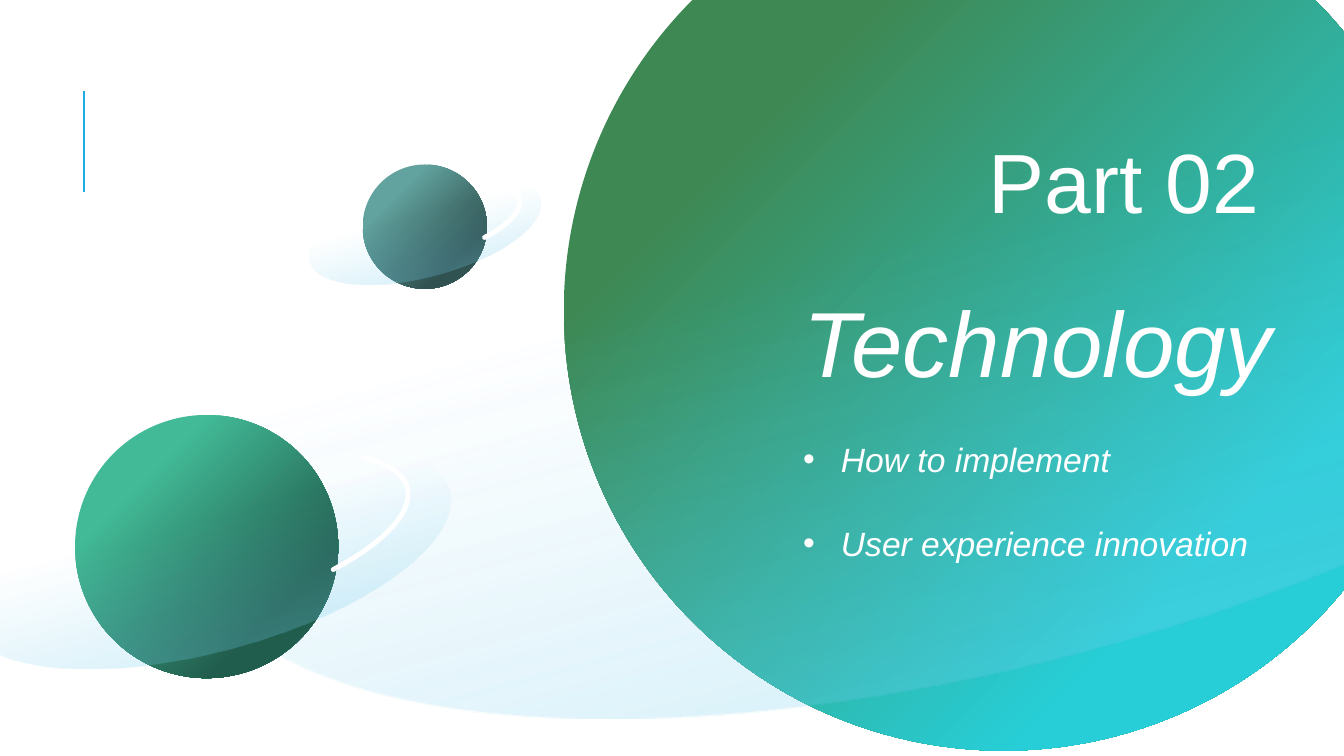
from dataclasses import dataclass

from lxml.etree import SubElement
from pptx import Presentation
from pptx.dml.color import RGBColor
from pptx.enum.shapes import MSO_CONNECTOR, MSO_SHAPE
from pptx.enum.text import MSO_ANCHOR, PP_ALIGN
from pptx.oxml.ns import qn
from pptx.util import Pt

COLORS = {
    "white": "FFFFFF",
    "accent": "1CADE4",
    "ring": "77CEEF",
    "leaf": "3E8853",
    "aqua": "27CED7",
    "mist": "62A39F",
    "slate": "305250",
    "mint": "42BA97",
    "pine": "215D4C",
    "blue": "2683C6",
    "navy": "134163",
}
RING_TILT = 345.1
ARC_ANGLES = (208.17, 16.55)


@dataclass(frozen=True)
class Sphere:
    center_x: float
    center_y: float
    diameter: float
    light: str
    dark: str


@dataclass(frozen=True)
class Planet(Sphere):
    has_highlight: bool = True


@dataclass(frozen=True)
class Stop:
    color: str
    position: float
    alpha: int = 100


HOME_PLANET = Planet(716.9, 222, 628.4, "leaf", "aqua", has_highlight=False)
SMALL_PLANETS = (
    Planet(303.4, 161.9, 88.8, "mist", "slate"),
    Planet(147.6, 390.4, 188, "mint", "pine"),
)
STARS = (
    Sphere(103, 89, 69.1, "blue", "navy"),
    Sphere(145, 235.2, 58.3, "mint", "navy"),
)


def rgb(name: str) -> RGBColor:
    return RGBColor.from_string(COLORS[name])


def add_centered(slide, preset, center_x: float, center_y: float,
                 width: float, height: float):
    shape = slide.shapes.add_shape(
        preset, Pt(center_x - width / 2), Pt(center_y - height / 2),
        Pt(width), Pt(height))
    shape.shadow.inherit = False
    return shape


def fill_gradient(shape, stops: tuple[Stop, Stop], clockwise: int) -> None:
    shape.fill.gradient()
    shape.fill.gradient_angle = 360 - clockwise
    for target, stop in zip(shape.fill.gradient_stops, stops):
        target.color.rgb = rgb(stop.color)
        target.position = stop.position
    for color, stop in zip(shape._element.spPr.iter(qn("a:srgbClr")), stops):
        if stop.alpha < 100:
            SubElement(color, qn("a:alpha"), val=str(stop.alpha * 1000))
    shape.line.fill.background()


def add_sphere(slide, sphere: Sphere):
    globe = add_centered(slide, MSO_SHAPE.OVAL, sphere.center_x, sphere.center_y,
                         sphere.diameter, sphere.diameter)
    fill_gradient(globe, (Stop(sphere.light, 0.25), Stop(sphere.dark, 0.76)), 45)
    return globe


def add_star(slide, star: Sphere) -> None:
    """Draw a sphere blurred by a soft edge."""
    effects = add_sphere(slide, star)._element.spPr.find(qn("a:effectLst"))
    SubElement(effects, qn("a:softEdge"), rad=str(Pt(25)))


def add_planet(slide, planet: Planet) -> None:
    """Draw a sphere with its tilted ring, both scaled from the diameter."""
    add_sphere(slide, planet)
    size = planet.diameter
    ring = add_centered(slide, MSO_SHAPE.OVAL, planet.center_x,
                        planet.center_y + 0.032 * size, 1.91 * size, 0.734 * size)
    ring.rotation = RING_TILT
    fill_gradient(ring, (Stop("ring", 0.42, 0), Stop("ring", 1, 50)), 90)
    if planet.has_highlight:
        highlight = add_centered(slide, MSO_SHAPE.ARC, planet.center_x,
                                 planet.center_y - 0.021 * size,
                                 1.578 * size, 0.549 * size)
        highlight.rotation = RING_TILT
        for index, angle in enumerate(ARC_ANGLES):
            highlight.adjustments[index] = angle
        highlight.fill.background()
        highlight.line.color.rgb = rgb("white")
        highlight.line.width = Pt(3.5)
        highlight.line._get_or_add_ln().set("cap", "rnd")


def add_accent_line(slide) -> None:
    accent = slide.shapes.add_connector(
        MSO_CONNECTOR.STRAIGHT, Pt(60), Pt(136.8), Pt(60), Pt(64.8))
    accent.line.color.rgb = rgb("accent")
    accent.line.width = Pt(1.5)
    SubElement(accent._element.spPr, qn("a:effectLst"))


def add_text_frame(slide, left: float, top: float, width: float, height: float,
                   wrap: bool):
    frame = slide.shapes.add_textbox(
        Pt(left), Pt(top), Pt(width), Pt(height)).text_frame
    frame.word_wrap = wrap
    frame.vertical_anchor = MSO_ANCHOR.TOP
    return frame


def write(paragraph, text: str, size: float, italic: bool) -> None:
    run = paragraph.add_run()
    run.text = text
    font_format = {"name": "Arial", "size": Pt(size), "italic": italic}
    for attribute, value in font_format.items():
        setattr(run.font, attribute, value)
    run.font.color.rgb = rgb("white")


def add_bullet(paragraph) -> None:
    properties = paragraph._p.get_or_add_pPr()
    properties.set("marL", str(Pt(27)))
    properties.set("indent", str(-Pt(27)))
    SubElement(properties, qn("a:buFont"), typeface="Arial")
    SubElement(properties, qn("a:buChar"), char="•")


def add_topic(slide) -> None:
    topic = add_text_frame(slide, 566.6, 200, 502.6, 283.7, wrap=True)
    write(topic.paragraphs[0], "Technology", 66, italic=True)
    for point in ("How to implement", "User experience innovation"):
        paragraph = topic.add_paragraph()
        add_bullet(paragraph)
        paragraph.space_before = Pt(31)
        write(paragraph, point, 24, italic=True)


def add_part_number(slide) -> None:
    part = add_text_frame(slide, 697, 89, 209.5, 80, wrap=False)
    part.paragraphs[0].alignment = PP_ALIGN.RIGHT
    write(part.paragraphs[0], "Part 02", 60, italic=False)


def main() -> None:
    deck = Presentation()
    deck.slide_width, deck.slide_height = Pt(960), Pt(540)
    slide = deck.slides.add_slide(deck.slide_layouts[6])
    add_accent_line(slide)
    add_planet(slide, HOME_PLANET)
    add_topic(slide)
    add_part_number(slide)
    for star in STARS:
        add_star(slide, star)
    for planet in SMALL_PLANETS:
        add_planet(slide, planet)
    deck.save("out.pptx")


if __name__ == "__main__":
    main()
